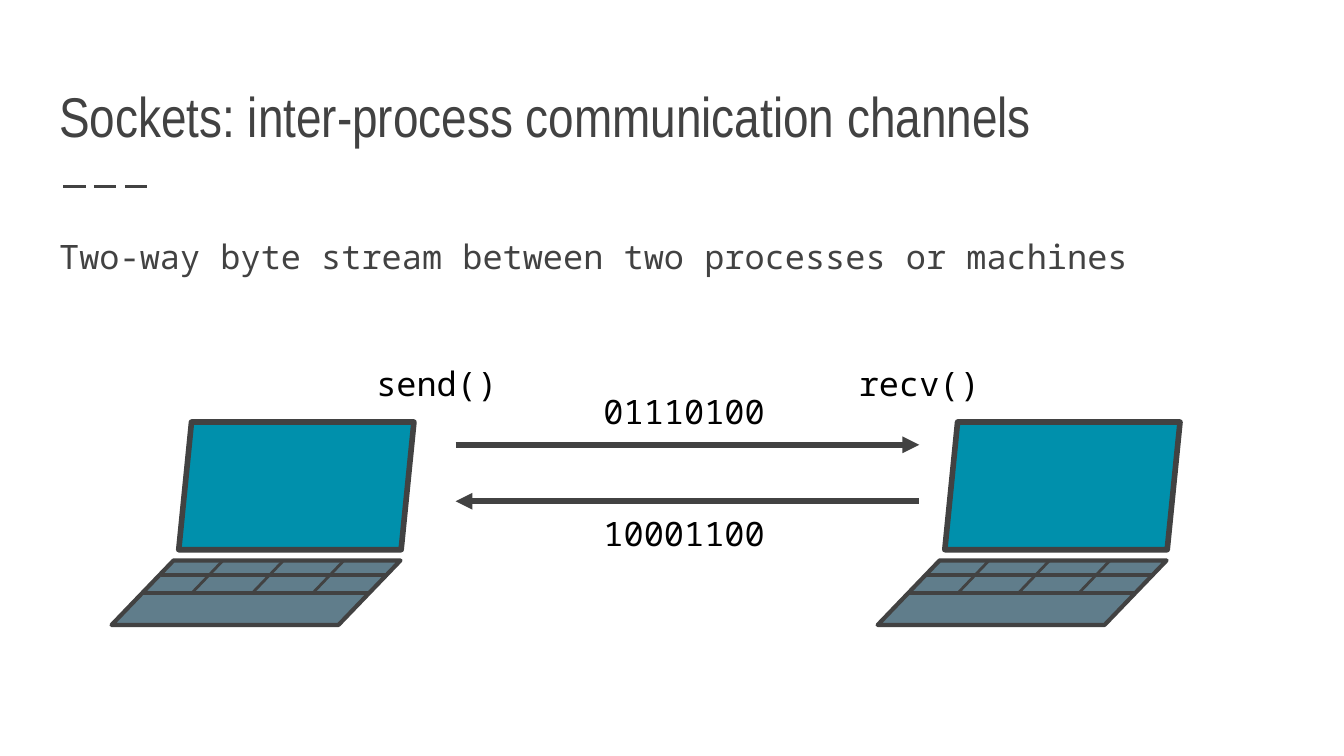
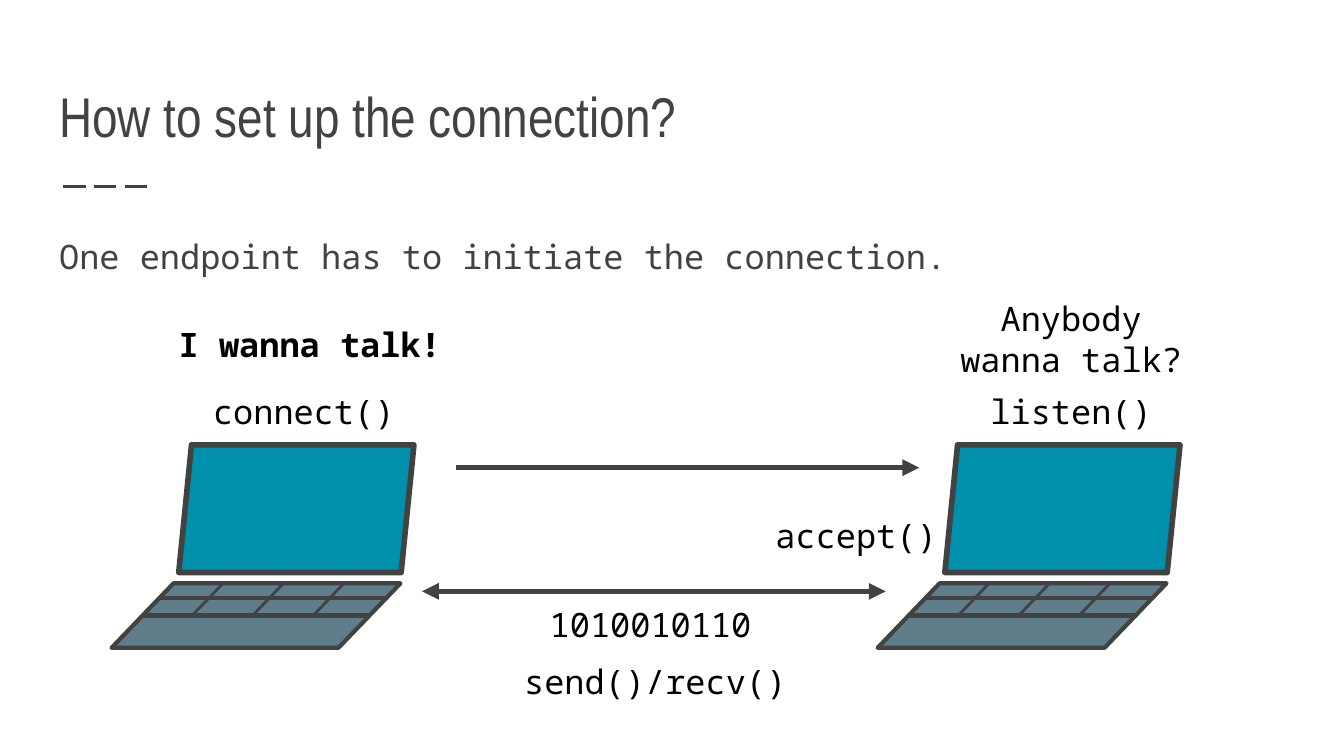
import pptx
import pptx.util
import pptx.dml.color
import pptx.enum.dml
import pptx.enum.shapes
import pptx.enum.text
import pptx.oxml.ns
from dataclasses import dataclass
from lxml import etree

Inches = pptx.util.Inches
Pt = pptx.util.Pt
RGB = pptx.dml.color.RGBColor.from_string
ALIGN = pptx.enum.text.PP_ALIGN
ANCHOR = pptx.enum.text.MSO_ANCHOR
PARALLELOGRAM = pptx.enum.shapes.MSO_SHAPE.PARALLELOGRAM
qn = pptx.oxml.ns.qn


@dataclass(frozen=True)
class Theme:
    ink: str = "424242"
    label: str = "000000"
    screen: str = "0090AC"
    keyboard: str = "607D8B"
    title_font: str = "Arial Narrow"
    text_font: str = "Noto Sans Mono"
    title_size: float = 30
    text_size: float = 18
    thin: float = 1.5
    medium: float = 2.25
    thick: float = 3


THEME = Theme()


def set_all(target, values):
    for name, value in values.items():
        setattr(target, name, value)


def place(shape, box):
    sides = ("left", "top", "width", "height")
    set_all(shape, {side: Inches(length) for side, length in zip(sides, box)})


def write(shape, text, para_format, font, size, color, bold=False, anchor=ANCHOR.TOP):
    """Fill a shape with one formatted paragraph."""
    frame = shape.text_frame
    inset = Inches(0.1)
    set_all(frame, {
        "word_wrap": True, "auto_size": pptx.enum.text.MSO_AUTO_SIZE.NONE,
        "vertical_anchor": anchor, "margin_left": inset, "margin_right": inset,
        "margin_top": inset, "margin_bottom": inset,
    })
    para = frame.paragraphs[0]
    set_all(para, para_format)
    span = para.add_run()
    span.text = text
    set_all(span.font, {"name": font, "size": Pt(size), "bold": bold})
    span.font.color.rgb = RGB(color)
    return para


def add_line(shapes, start, end, width, head=False, tail=False):
    """Draw a straight line, with arrowheads at its start (head) or end (tail)."""
    points = [Inches(value) for value in (*start, *end)]
    line = shapes.add_connector(pptx.enum.shapes.MSO_CONNECTOR.STRAIGHT, *points)
    line.line.color.rgb = RGB(THEME.ink)
    line.line.width = Pt(width)
    for tag, wanted in (("a:headEnd", head), ("a:tailEnd", tail)):
        if wanted:
            etree.SubElement(line.line._get_or_add_ln(), qn(tag), type="triangle")
    etree.SubElement(line._element.spPr, qn("a:effectLst"))
    return line


def add_label(page, text, box, bold=False):
    label = page.shapes.add_textbox(*(Inches(length) for length in box))
    write(label, text, {"alignment": ALIGN.CENTER},
          THEME.text_font, THEME.text_size, THEME.label, bold)


def add_panel(shapes, box, slant, fill, width):
    panel = shapes.add_shape(PARALLELOGRAM, *(Inches(length) for length in box))
    panel.adjustments[0] = slant
    panel.shadow.inherit = False
    panel.fill.solid()
    panel.fill.fore_color.rgb = RGB(fill)
    panel.line.color.rgb = RGB(THEME.ink)
    panel.line.width = Pt(width)
    etree.SubElement(panel.line._get_or_add_ln(), qn("a:round"))


def add_laptop(page, left, top):
    """Draw a grouped laptop whose box starts at left, top."""
    shapes = page.shapes.add_group_shape().shapes
    # Screen and keyboard
    add_panel(shapes, (left + 0.5, top, 1.75, 0.95), 0.1, THEME.screen, THEME.thick)
    add_panel(shapes, (left, top + 1.03, 2.15, 0.48), 0.961, THEME.keyboard, THEME.medium)
    # Key rows
    for x, y in ((0.23, 1.27), (0.37, 1.14)):
        add_line(shapes, (left + x, top + y), (left + x + 1.69, top + y), THEME.medium)
    # Slanted key dividers
    for column in range(3):
        x = left + 0.6 + 0.45 * column
        add_line(shapes, (x, top + 1.27), (x + 0.23, top + 1.03), THEME.thin)


def add_laptop_pair(page, top):
    for left in (0.83, 6.53):
        add_laptop(page, left, top)


def add_arrow(page, left, y, **heads):
    add_line(page.shapes, (left, y), (left + 3.45, y), THEME.thick, **heads)


def add_page(deck, title, body, body_height):
    """Start a page with its dashed rule, title and body line."""
    page = deck.slides.add_slide(deck.slide_layouts[1])
    rule = add_line(page.shapes, (0.47, 1.39), (1.14, 1.39), THEME.thin)
    rule.line.dash_style = pptx.enum.dml.MSO_LINE.LONG_DASH

    place(page.shapes.title, (0.34, 0.41, 9.32, 0.8))
    write(page.shapes.title, title, {"alignment": ALIGN.LEFT}, THEME.title_font,
          THEME.title_size, THEME.ink, anchor=ANCHOR.BOTTOM)

    holder = page.placeholders[1]
    place(holder, (0.34, 1.61, 9.32, body_height))
    spacing = {"alignment": ALIGN.LEFT, "line_spacing": 1.15,
               "space_before": Pt(0), "space_after": Pt(16)}
    para = write(holder, body, spacing, THEME.text_font, THEME.text_size, THEME.ink)
    # Plain text: no bullet and no hanging indent
    properties = para._p.get_or_add_pPr()
    for name in ("marL", "indent"):
        properties.set(name, "0")
    etree.SubElement(properties, qn("a:buNone"))
    return page


def build_sockets(deck):
    page = add_page(deck, "Sockets: inter-process communication channels",
                    "Two-way byte stream between two processes or machines", 1.07)
    add_laptop_pair(page, 3.14)
    # Traffic in both directions
    add_arrow(page, 3.39, 3.31, tail=True)
    add_arrow(page, 3.39, 3.73, head=True)
    for text, box in (
        ("01110100", (4, 2.81, 2.18, 0.44)),
        ("10001100", (4, 3.72, 2.18, 0.44)),
        ("send()", (2.58, 2.6, 1.34, 0.44)),
        ("recv()", (6.17, 2.6, 1.34, 0.44)),
    ):
        add_label(page, text, box)


def build_connection(deck):
    page = add_page(deck, "How to set up the connection?",
                    "One endpoint has to initiate the connection.", 0.53)
    add_laptop_pair(page, 3.31)
    # Connection request, then two-way traffic
    add_arrow(page, 3.39, 3.48, tail=True)
    add_arrow(page, 3.14, 4.4, head=True, tail=True)
    for text, box in (
        ("1010010110", (3.75, 4.39, 2.18, 0.44)),
        ("connect()", (1.44, 2.81, 1.64, 0.44)),
        ("listen()", (7.24, 2.81, 1.46, 0.44)),
        ("Anybody wanna talk?", (6.95, 2.12, 2.04, 0.81)),
        ("accept()", (5.64, 3.73, 1.46, 0.53)),
        ("send()/recv()", (3.3, 4.82, 3.15, 0.53)),
    ):
        add_label(page, text, box)
    add_label(page, "I wanna talk!", (1.18, 2.31, 2.25, 0.61), bold=True)


def main():
    deck = pptx.Presentation()
    # Widescreen 16:9
    deck.slide_width = Inches(10)
    deck.slide_height = Inches(10) * 9 // 16
    build_sockets(deck)
    build_connection(deck)
    deck.save("out.pptx")


if __name__ == "__main__":
    main()
